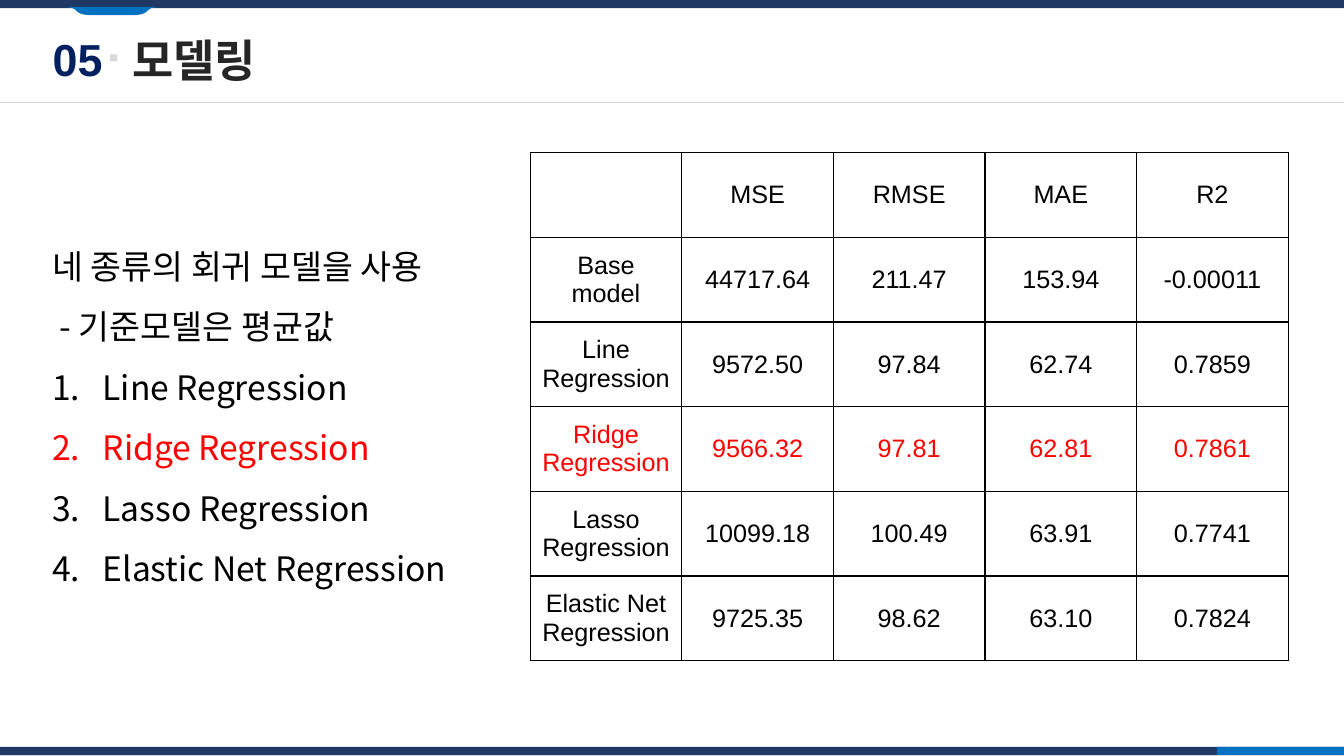
from dataclasses import dataclass

from lxml.etree import SubElement
from pptx import Presentation
from pptx.dml.color import RGBColor
from pptx.enum.shapes import MSO_CONNECTOR, MSO_SHAPE
from pptx.enum.text import MSO_ANCHOR as Anchor, PP_ALIGN as Align
from pptx.oxml.ns import qn
from pptx.util import Inches, Pt

SECTION, TITLE = "05", "모델링"
INTRO = ["네 종류의 회귀 모델을 사용", " - 기준모델은 평균값"]
METRICS = ["MSE", "RMSE", "MAE", "R2"]
BASELINE = ("Base model", ["44717.64", "211.47", "153.94", "-0.00011"])
REGRESSIONS = [
    ("Line Regression", ["9572.50", "97.84", "62.74", "0.7859"]),
    ("Ridge Regression", ["9566.32", "97.81", "62.81", "0.7861"]),
    ("Lasso Regression", ["10099.18", "100.49", "63.91", "0.7741"]),
    ("Elastic Net Regression", ["9725.35", "98.62", "63.10", "0.7824"]),
]
BEST = "Ridge Regression"


@dataclass(frozen=True)
class Theme:
    navy: str = "1F3864"
    blue: str = "0070C0"
    grey: str = "D8D8D8"
    number: str = "002060"
    heading: str = "262626"
    ink: str = "000000"
    best: str = "FF0000"
    latin: str = "Arial"
    korean: str = "Noto Sans CJK KR"
    title_size: int = 32
    body_size: int = 24
    table_size: int = 18


theme = Theme()

# Left, top, width and height as percentages of the slide
BARS = [
    ((0, 0, 100, 1.07), theme.navy),
    ((0, 99.33, 100, 0.67), theme.grey),
    ((0, 98.8, 100, 1.07), theme.navy),
    ((90.55, 98.8, 9.45, 1.07), theme.blue),
    ((8.18, 7.2, 0.53, 0.93), theme.grey),
]
TITLE_BOX = (9.83, 4.27, 61.14, 7.2)
SECTION_BOX = (3.9, 4.13, 3.75, 7.2)
LIST_BOX = (3.15, 29.2, 34.66, 49.87)
TABLE_BOX = (39.45, 20.2, 56.4, 67.2)
RULE_Y = 13.6
TAB_CENTRE = 8.33
TAB_EDGE = [(3.38, 0.93), (2.93, 1.07), (2.7, 1.33), (2.55, 1.6), (2.25, 1.87), (1.8, 2)]

deck = Presentation()
deck.slide_width, deck.slide_height = Inches(13.33), Inches(7.5)
slide = deck.slides.add_slide(deck.slide_layouts[6])
shapes = slide.shapes


def point(x, y):
    return round(deck.slide_width * x / 100), round(deck.slide_height * y / 100)


def place(box):
    return point(*box[:2]) + point(*box[2:])


def paint(shape, color):
    shape.shadow.inherit = False
    shape.fill.solid()
    shape.fill.fore_color.rgb = RGBColor.from_string(color)
    shape.line.fill.background()


def write(paragraph, text, font, size, color, bold=False):
    run = paragraph.add_run()
    run.text = text
    for attribute, value in {"name": font, "size": Pt(size), "bold": bold}.items():
        setattr(run.font, attribute, value)
    run.font.color.rgb = RGBColor.from_string(color)
    SubElement(run.font._element, qn("a:ea"), typeface=theme.korean)


def number_item(paragraph, color):
    """Turn a paragraph into an automatically numbered list item."""
    properties = paragraph._p.get_or_add_pPr()
    properties.set("marL", str(Inches(0.5)))
    properties.set("indent", str(-Inches(0.5)))
    bullet_color = SubElement(properties, qn("a:buClr"))
    SubElement(bullet_color, qn("a:srgbClr"), val=color)
    SubElement(properties, qn("a:buFont"), typeface="+mj-lt")
    SubElement(properties, qn("a:buAutoNum"), type="arabicPeriod")


def outline(cell):
    properties = cell._tc.get_or_add_tcPr()
    for side in ("lnL", "lnR", "lnT", "lnB"):
        border = SubElement(properties, qn(f"a:{side}"), w=str(Pt(1)))
        fill = SubElement(border, qn("a:solidFill"))
        SubElement(fill, qn("a:srgbClr"), val=theme.ink)
    cell.fill.background()


def model_color(model):
    return theme.best if model == BEST else theme.ink


def add_frame():
    for box, color in BARS:
        paint(shapes.add_shape(MSO_SHAPE.RECTANGLE, *place(box)), color)
    left = [point(TAB_CENTRE - dx, y) for dx, y in TAB_EDGE]
    right = [point(TAB_CENTRE + dx, y) for dx, y in reversed(TAB_EDGE)]
    tab = shapes.build_freeform(*left[0])
    tab.add_line_segments(left[1:] + right, close=True)
    paint(tab.convert_to_shape(), theme.blue)
    rule = shapes.add_connector(MSO_CONNECTOR.STRAIGHT, *point(0, RULE_Y), *point(100, RULE_Y))
    rule.line.color.rgb = RGBColor.from_string(theme.grey)
    rule.line.width = Pt(0.75)
    SubElement(rule._element.spPr, qn("a:effectLst"))


def add_heading(box, text, color, align):
    frame = shapes.add_textbox(*place(box)).text_frame
    margins = dict.fromkeys(("margin_left", "margin_top", "margin_right", "margin_bottom"), 0)
    for attribute, value in {**margins, "vertical_anchor": Anchor.MIDDLE, "word_wrap": True}.items():
        setattr(frame, attribute, value)
    frame.paragraphs[0].alignment = align
    write(frame.paragraphs[0], text, theme.latin, theme.title_size, color, bold=True)


def add_model_list():
    frame = shapes.add_textbox(*place(LIST_BOX)).text_frame
    frame.word_wrap = True
    models = [name for name, _ in REGRESSIONS]
    for index, text in enumerate(INTRO + models):
        paragraph = frame.add_paragraph() if index else frame.paragraphs[0]
        paragraph.line_spacing = 1.5
        if text in models:
            number_item(paragraph, model_color(text))
        write(paragraph, text, theme.korean, theme.body_size, model_color(text))


def add_score_table():
    rows = [("", METRICS), BASELINE, *REGRESSIONS]
    table = shapes.add_table(len(rows), len(METRICS) + 1, *place(TABLE_BOX)).table
    table.first_row = table.horz_banding = False
    for r, (model, scores) in enumerate(rows):
        for c, text in enumerate([model, *scores]):
            cell = table.cell(r, c)
            cell.vertical_anchor = Anchor.MIDDLE
            cell.margin_left = cell.margin_right = Inches(0.1)
            outline(cell)
            if text:
                paragraph = cell.text_frame.paragraphs[0]
                paragraph.alignment = Align.CENTER
                write(paragraph, text, theme.latin, theme.table_size, model_color(model))


add_frame()
add_heading(TITLE_BOX, TITLE, theme.heading, Align.LEFT)
add_heading(SECTION_BOX, SECTION, theme.number, Align.CENTER)
add_model_list()
add_score_table()
deck.save("out.pptx")
